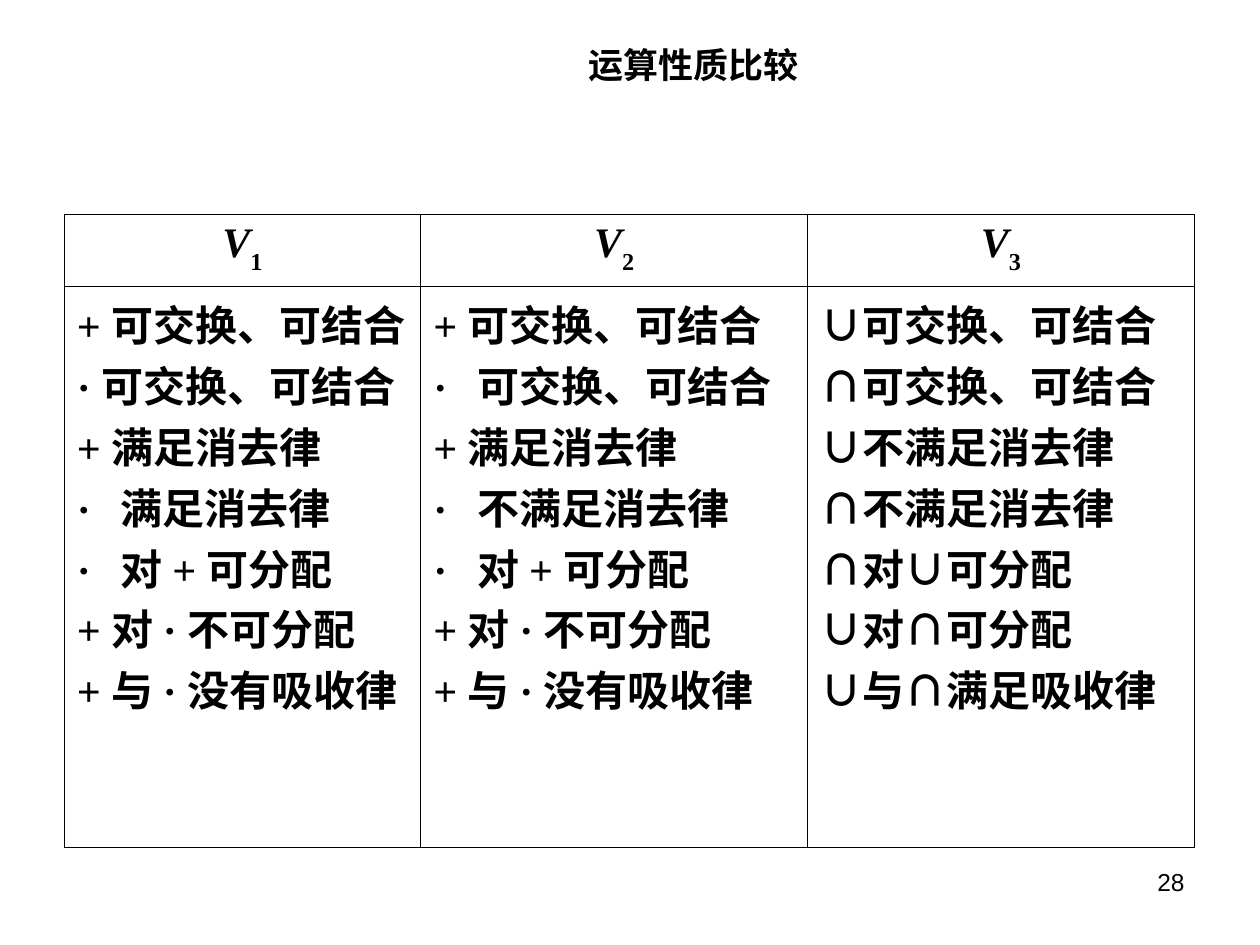
"""Build a slide comparing the operation properties of three algebraic systems."""
from lxml import etree
from pptx import Presentation
from pptx.dml.color import RGBColor
from pptx.enum.text import MSO_ANCHOR, PP_ALIGN
from pptx.oxml.ns import qn
from pptx.util import Inches, Pt

LEFT, CENTER, RIGHT = PP_ALIGN.LEFT, PP_ALIGN.CENTER, PP_ALIGN.RIGHT
TOP, MIDDLE = MSO_ANCHOR.TOP, MSO_ANCHOR.MIDDLE

COLORS = {"text": "000000", "border": "000000"}
TITLE = "运算性质比较"
PAGE_NUMBER = "28"
SYSTEMS = [
    ("1", ["+ 可交换、可结合", "· 可交换、可结合", "+ 满足消去律", "·\t满足消去律",
           "·\t对 + 可分配", "+ 对 · 不可分配", "+ 与 · 没有吸收律"]),
    ("2", ["+ 可交换、可结合", "·\t可交换、可结合", "+ 满足消去律", "·\t不满足消去律",
           "·\t对 + 可分配", "+ 对 · 不可分配", "+ 与 · 没有吸收律"]),
    ("3", ["∪可交换、可结合", "∩可交换、可结合", "∪不满足消去律", "∩不满足消去律",
           "∩对∪可分配", "∪对∩可分配", "∪与∩满足吸收律"]),
]
COLUMN_WIDTHS = [2.83, 3.07, 3.07]
ROW_HEIGHTS = [0.57, 4.45]
TABLE_LEFT, TABLE_TOP = 0.51, 1.7
TAB_STOP = 0.35
BORDER_WIDTH = 0.45

TITLE_FORMAT = {"name": "Arial", "size": Pt(20), "bold": True}
NUMBER_FORMAT = {"name": "Arial", "size": Pt(14)}
CELL_FORMAT = {"name": "Times New Roman", "size": Pt(24), "bold": True}


def add_run(paragraph, text, font_format):
    run = paragraph.add_run()
    run.text = text
    for name, value in font_format.items():
        setattr(run.font, name, value)
    run.font.color.rgb = RGBColor.from_string(COLORS["text"])
    return run


def add_label(slide, box, text, font_format, alignment, anchor):
    frame = slide.shapes.add_textbox(*map(Inches, box)).text_frame
    frame.word_wrap = True
    frame.vertical_anchor = anchor
    paragraph = frame.paragraphs[0]
    paragraph.alignment = alignment
    add_run(paragraph, text, font_format)


def add_tab_stop(paragraph):
    tabs = etree.SubElement(paragraph._p.get_or_add_pPr(), qn("a:tabLst"))
    etree.SubElement(tabs, qn("a:tab"), pos=str(Inches(TAB_STOP)), algn="l")


def style_cell(cell):
    properties = cell._tc.get_or_add_tcPr()
    for side in ("lnL", "lnR", "lnT", "lnB"):
        line = etree.SubElement(properties, qn(f"a:{side}"), w=str(Pt(BORDER_WIDTH)))
        fill = etree.SubElement(line, qn("a:solidFill"))
        etree.SubElement(fill, qn("a:srgbClr"), val=COLORS["border"])
    cell.fill.background()
    cell.margin_left = cell.margin_right = Inches(0.1)
    cell.margin_top = cell.margin_bottom = Inches(0.05)


def fill_header(cell, index):
    paragraph = cell.text_frame.paragraphs[0]
    paragraph.alignment = CENTER
    add_run(paragraph, "V", {**CELL_FORMAT, "italic": True})
    subscript = add_run(paragraph, index, CELL_FORMAT)
    subscript.font._element.set("baseline", "-30000")


def fill_properties(cell, lines):
    frame = cell.text_frame
    for number, line in enumerate(lines):
        paragraph = frame.add_paragraph() if number else frame.paragraphs[0]
        paragraph.alignment = LEFT
        if "\t" in line:
            add_tab_stop(paragraph)
        add_run(paragraph, line, CELL_FORMAT)


def add_comparison(slide):
    box = (TABLE_LEFT, TABLE_TOP, sum(COLUMN_WIDTHS), sum(ROW_HEIGHTS))
    table = slide.shapes.add_table(
        len(ROW_HEIGHTS), len(SYSTEMS), *map(Inches, box)).table
    table.first_row = table.horz_banding = False
    for row, height in zip(table.rows, ROW_HEIGHTS):
        row.height = Inches(height)
    for position, (index, lines) in enumerate(SYSTEMS):
        table.columns[position].width = Inches(COLUMN_WIDTHS[position])
        fill_header(table.cell(0, position), index)
        fill_properties(table.cell(1, position), lines)
    for cell in table.iter_cells():
        style_cell(cell)


def main():
    presentation = Presentation()
    presentation.slide_width, presentation.slide_height = Inches(10), Inches(7.5)
    slide = presentation.slides.add_slide(presentation.slide_layouts[6])
    add_label(slide, (7.17, 6.83, 2.33, 0.52), PAGE_NUMBER, NUMBER_FORMAT, RIGHT, TOP)
    add_comparison(slide)
    add_label(slide, (2.16, 0.28, 6.69, 0.46), TITLE, TITLE_FORMAT, CENTER, MIDDLE)
    presentation.save("out.pptx")


if __name__ == "__main__":
    main()
